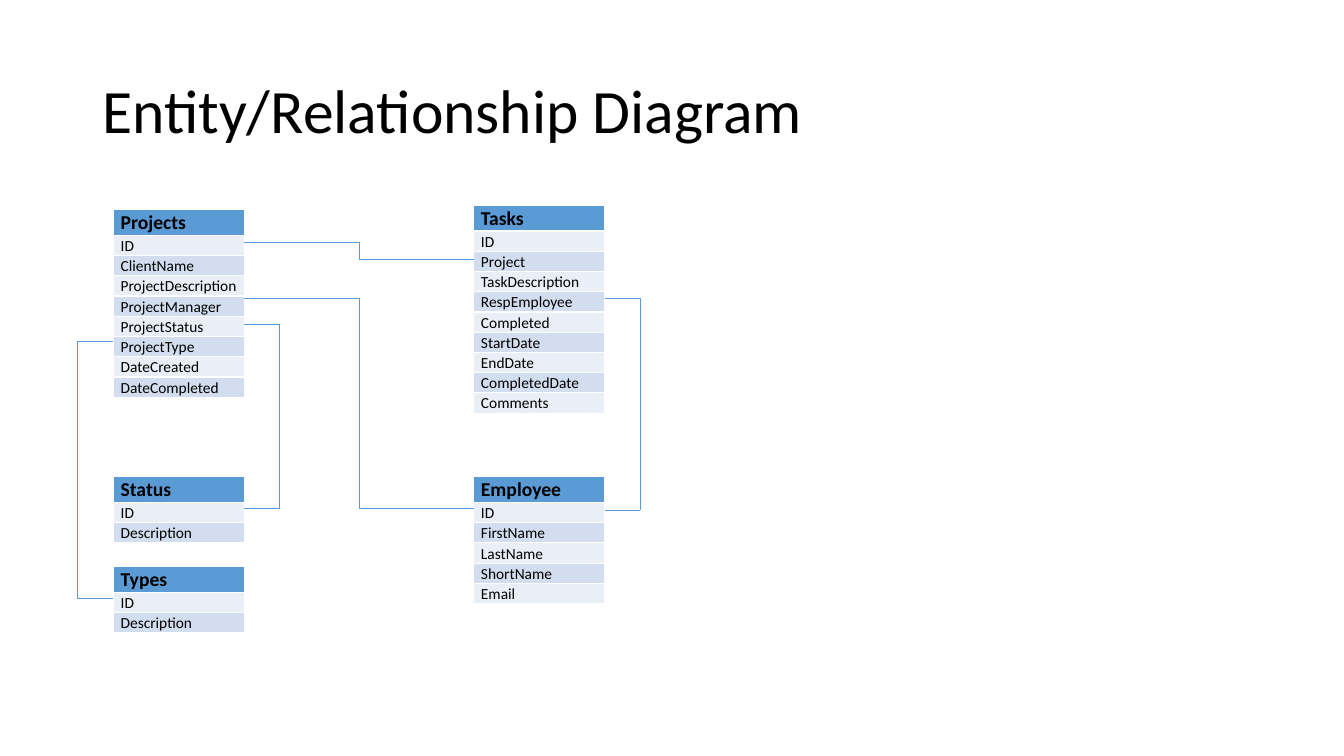
from typing import NamedTuple

from lxml import etree
from pptx import Presentation
from pptx.dml.color import RGBColor
from pptx.enum import shapes, text
from pptx.oxml import ns
from pptx.util import Cm, Pt

FONT = "Calibri"
BLACK, WHITE, BLUE = "000000", "FFFFFF", "5B9BD5"
BANDS = ("EAEFF7", "D2DEEF")
LEFT_COLUMN, RIGHT_COLUMN = 2.86, 11.94
ENTITY_WIDTH, HEADER_HEIGHT, FIELD_HEIGHT = 3.3, 0.65, 0.51
LEFT_EDGE, RIGHT_EDGE = LEFT_COLUMN + ENTITY_WIDTH, RIGHT_COLUMN + ENTITY_WIDTH


class Entity(NamedTuple):
    """A database table; lengths in cm."""
    name: str
    left: float
    top: float
    fields: tuple[str, ...]


class Elbow(NamedTuple):
    """A link between the two columns; heights of its ends in cm."""
    start: float
    end: float


class Bracket(NamedTuple):
    """A link between entities of one column, around an outer rail, in cm."""
    edge: float
    rail: float
    top: float
    bottom: float


ENTITIES = (
    Entity("Projects", LEFT_COLUMN, 5.28,
           ("ID", "ClientName", "ProjectDescription", "ProjectManager",
            "ProjectStatus", "ProjectType", "DateCreated", "DateCompleted")),
    Entity("Tasks", RIGHT_COLUMN, 5.17,
           ("ID", "Project", "TaskDescription", "RespEmployee", "Completed",
            "StartDate", "EndDate", "CompletedDate", "Comments")),
    Entity("Employee", RIGHT_COLUMN, 12.01,
           ("ID", "FirstName", "LastName", "ShortName", "Email")),
    Entity("Types", LEFT_COLUMN, 14.27, ("ID", "Description")),
    Entity("Status", LEFT_COLUMN, 12.01, ("ID", "Description")),
)
ELBOWS = (Elbow(6.12, 6.53), Elbow(7.52, 12.8))
BRACKETS = (
    Bracket(LEFT_EDGE, 7.05, 8.18, 12.8),
    Bracket(LEFT_COLUMN, 1.95, 8.59, 15.09),
    Bracket(RIGHT_EDGE, 16.13, 7.52, 12.85),
)


def color(value: str) -> RGBColor:
    """Turn a hex string into a colour."""
    return RGBColor.from_string(value)


def style_paragraph(paragraph, size: float, bold: bool = False) -> None:
    """Set the font of a paragraph."""
    font = paragraph.font
    font.name, font.size, font.bold = FONT, Pt(size), bold
    font.color.rgb = color(BLACK)


def add_title(slide, wording: str) -> None:
    """Add the slide title."""
    frame = slide.shapes.add_textbox(Cm(2.33), Cm(1.01), Cm(29.21), Cm(3.68)).text_frame
    frame.word_wrap = True
    frame.vertical_anchor = text.MSO_ANCHOR.MIDDLE
    paragraph = frame.paragraphs[0]
    paragraph.text = wording
    paragraph.line_spacing = 0.9
    style_paragraph(paragraph, 44)


def add_borders(cell) -> None:
    """Give a cell thin white borders; call before setting its fill."""
    properties = cell._tc.get_or_add_tcPr()
    for side in ("lnL", "lnR", "lnT", "lnB"):
        line = etree.SubElement(properties, ns.qn(f"a:{side}"), w=str(Pt(1)))
        fill = etree.SubElement(line, ns.qn("a:solidFill"))
        etree.SubElement(fill, ns.qn("a:srgbClr"), val=WHITE)


def fill_cell(cell, wording: str, size: float, bold: bool, background: str) -> None:
    """Write and style one table cell."""
    cell.margin_left = cell.margin_right = Cm(0.18)
    cell.margin_top = cell.margin_bottom = 0
    add_borders(cell)
    cell.fill.solid()
    cell.fill.fore_color.rgb = color(background)
    paragraph = cell.text_frame.paragraphs[0]
    paragraph.text = wording
    paragraph.line_spacing = 1.07
    paragraph.space_after = Pt(8)
    style_paragraph(paragraph, size, bold)


def add_entity(slide, entity: Entity) -> None:
    """Add an entity as a header row above its banded fields."""
    height = HEADER_HEIGHT + FIELD_HEIGHT * len(entity.fields)
    table = slide.shapes.add_table(
        len(entity.fields) + 1, 1, Cm(entity.left), Cm(entity.top),
        Cm(ENTITY_WIDTH), Cm(height)).table
    table.rows[0].height = Cm(HEADER_HEIGHT)
    fill_cell(table.cell(0, 0), entity.name, 14, True, BLUE)
    for index, field in enumerate(entity.fields):
        table.rows[index + 1].height = Cm(FIELD_HEIGHT)
        fill_cell(table.cell(index + 1, 0), field, 11, False, BANDS[index % 2])


def add_link(slide, kind, x1: float, y1: float, x2: float, y2: float) -> None:
    """Add one thin connector."""
    connector = slide.shapes.add_connector(kind, Cm(x1), Cm(y1), Cm(x2), Cm(y2))
    connector.line.color.rgb = color(BLUE)
    connector.line.width = Pt(0.5)
    etree.SubElement(connector._element.spPr, ns.qn("a:effectLst"))


def add_bracket(slide, bracket: Bracket) -> None:
    """Add the two arms and the rail of a bracket."""
    edge, rail, top, bottom = bracket
    for ends in ((edge, top, rail, top), (edge, bottom, rail, bottom),
                 (rail, top, rail, bottom)):
        add_link(slide, shapes.MSO_CONNECTOR.STRAIGHT, *ends)


def main() -> None:
    """Build and save the slide."""
    presentation = Presentation()
    presentation.slide_width, presentation.slide_height = Cm(33.87), Cm(19.05)
    slide = presentation.slides.add_slide(presentation.slide_layouts[6])
    add_title(slide, "Entity/Relationship Diagram")
    for entity in ENTITIES:
        add_entity(slide, entity)
    for elbow in ELBOWS:
        add_link(slide, shapes.MSO_CONNECTOR.ELBOW,
                 LEFT_EDGE, elbow.start, RIGHT_COLUMN, elbow.end)
    for bracket in BRACKETS:
        add_bracket(slide, bracket)
    presentation.save("out.pptx")


main()
